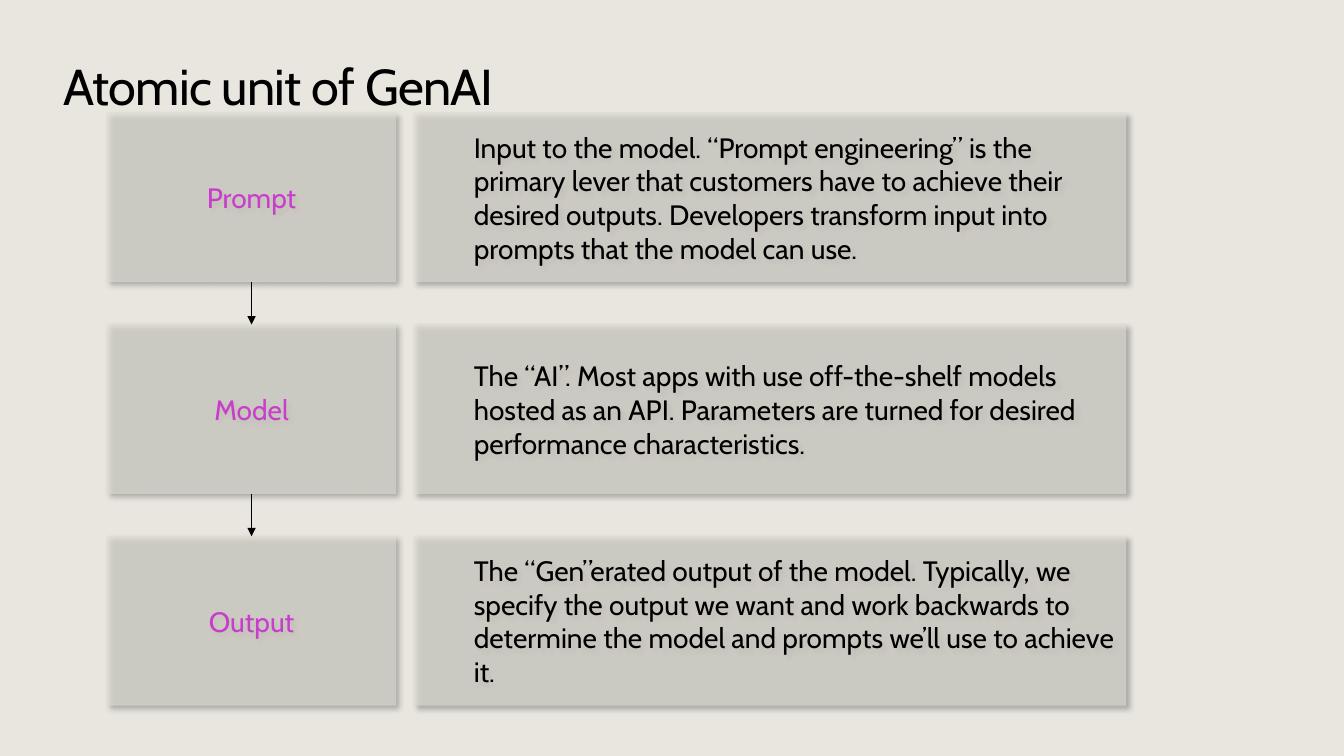
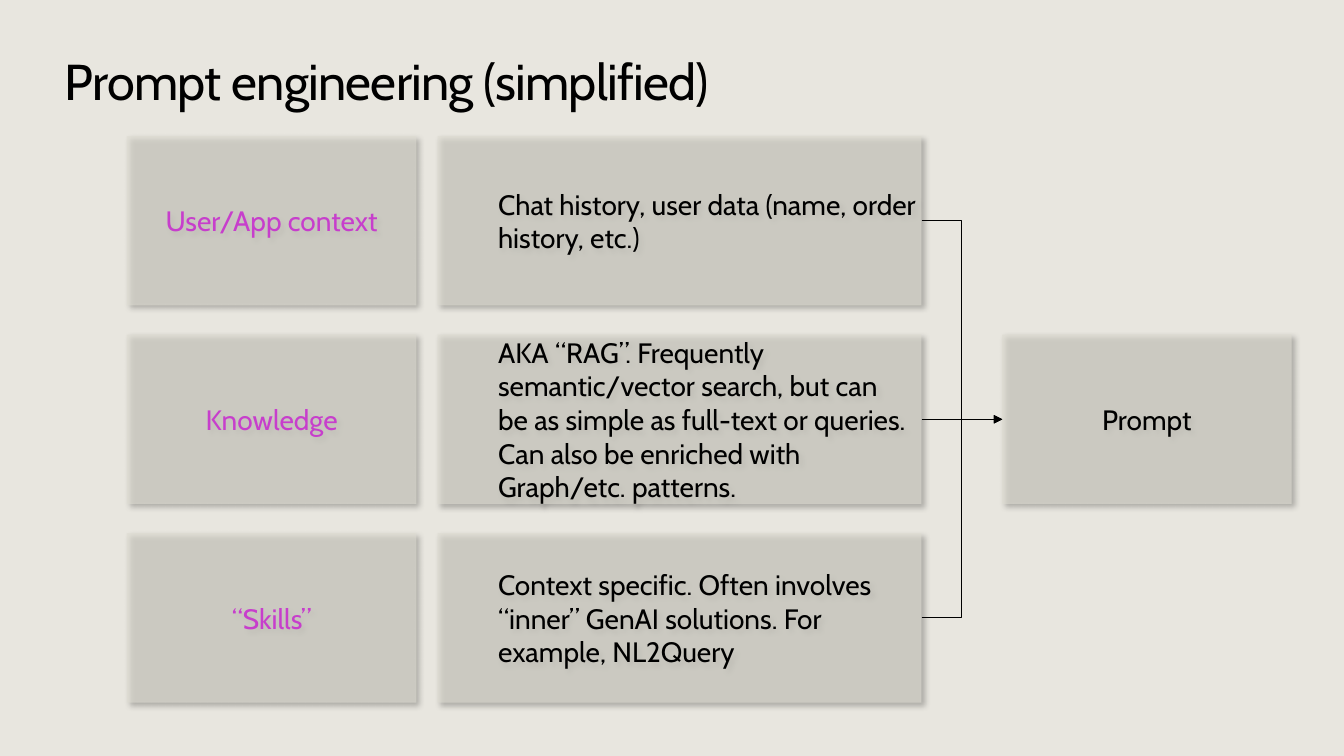
"""Builds two slides on generative AI: its atomic unit and simplified prompt engineering."""
from dataclasses import dataclass

from lxml import etree
from pptx import Presentation
from pptx.dml.color import RGBColor
from pptx.enum.shapes import MSO_CONNECTOR, MSO_SHAPE
from pptx.enum.text import MSO_ANCHOR, PP_ALIGN
from pptx.oxml.ns import qn
from pptx.util import Inches, Pt

RECT = MSO_SHAPE.RECTANGLE
STRAIGHT, ELBOW = MSO_CONNECTOR.STRAIGHT, MSO_CONNECTOR.ELBOW
MIDDLE = MSO_ANCHOR.MIDDLE
LEFT, CENTER = PP_ALIGN.LEFT, PP_ALIGN.CENTER
TOP_SITE, LEFT_SITE, BOTTOM_SITE, RIGHT_SITE = range(4)


@dataclass(frozen=True)
class Theme:
    font: str = "Cabin"
    background: str = "E8E6DF"
    box: str = "DEDCD2"
    ink: str = "000000"
    accent: str = "C73ECC"
    title_size: int = 36
    body_size: int = 20
    title_spacing: float = -0.5
    line_width: float = 0.75


THEME = Theme()
LABEL_W, BOX_H = 2.87, 1.68
LABEL_INSETS = (0.2, 0.16, 0.2, 0.16)

UNIT = {
    "title": "Atomic unit of GenAI", "title_at": (0.63, 0.55, 11.84, 0.61),
    "label_x": 1.06, "text_x": 4.1, "text_w": 7.07, "top": 1.12, "pitch": 2.1, "opacity": 63,
    "rows": [
        ("Prompt", "Input to the model. “Prompt engineering” is the primary lever that customers have "
                   "to achieve their desired outputs. Developers transform input into prompts that "
                   "the model can use.", 0),
        ("Model", "The “AI”. Most apps with use off-the-shelf models hosted as an API. Parameters are "
                  "turned for desired performance characteristics.", 0),
        ("Output", "The “Gen”erated output of the model. Typically, we specify the output we want and "
                   "work backwards to determine the model and prompts we’ll use to achieve it.", 0),
    ],
}
ENGINEERING = {
    "title": "Prompt engineering (simplified)", "title_at": (0.64, 0.5, 12.05, 0.61),
    "label_x": 1.26, "text_x": 4.34, "text_w": 4.8, "top": 1.35, "pitch": 1.97, "opacity": 60,
    "rows": [
        ("User/App context", "Chat history, user data (name, order history, etc.)", 0),
        ("Knowledge", "AKA “RAG”. Frequently semantic/vector search, but can be as simple as "
                      "full-text or queries. Can also be enriched with Graph/etc. patterns.", 0.08),
        ("“Skills”", "Context specific. Often involves “inner” GenAI solutions. For example, "
                     "NL2Query", 0),
    ],
}
RESULT, RESULT_X = "Prompt", 9.94


def rgb(color):
    return RGBColor.from_string(color)


def sub(parent, tag, **attrs):
    return etree.SubElement(parent, qn(tag), {k: str(v) for k, v in attrs.items()})


def write(shape, text, size, color, insets, align=LEFT):
    tf = shape.text_frame
    tf.word_wrap = True
    tf.margin_left, tf.margin_top, tf.margin_right, tf.margin_bottom = map(Inches, insets)
    p = tf.paragraphs[0]
    p.alignment = align
    p.font.name, p.font.size = THEME.font, Pt(size)
    p.font.color.rgb = rgb(color)
    r = p.add_run()
    r.text = text
    return r


def add_box(s, x, y, w, text, opacity, insets, color=THEME.ink, align=LEFT):
    sp = s.shapes.add_shape(RECT, Inches(x), Inches(y), Inches(w), Inches(BOX_H))
    sp.fill.solid()
    sp.fill.fore_color.rgb = rgb(THEME.box)
    sub(sp._element.spPr.find(f"{qn('a:solidFill')}/{qn('a:srgbClr')}"), "a:alpha", val=opacity * 1000)
    sp.line.fill.background()
    sp.shadow.inherit = False
    shadow = sub(sp._element.spPr.find(qn("a:effectLst")), "a:outerShdw", blurRad=Pt(4), dist=Pt(3),
                 dir=45 * 60000, algn="tl", rotWithShape=0)
    sub(sub(shadow, "a:srgbClr", val=THEME.ink), "a:alpha", val=40000)
    sp.text_frame.vertical_anchor = MIDDLE
    write(sp, text, THEME.body_size, color, insets, align)
    return sp


def add_arrow(s, kind, start, start_site, end, end_site):
    line = s.shapes.add_connector(kind, 0, 0, 0, 0)
    line.begin_connect(start, start_site)
    line.end_connect(end, end_site)
    line.line.color.rgb = rgb(THEME.ink)
    line.line.width = Pt(THEME.line_width)
    sub(line.line._get_or_add_ln(), "a:tailEnd", type="triangle")
    sub(line._element.spPr, "a:effectLst")


def add_slide(prs, content):
    s = prs.slides.add_slide(prs.slide_layouts[6])
    s.background.fill.solid()
    s.background.fill.fore_color.rgb = rgb(THEME.background)
    title = s.shapes.add_textbox(*map(Inches, content["title_at"]))
    r = write(title, content["title"], THEME.title_size, THEME.ink, (0, 0, 0, 0))
    r._r.get_or_add_rPr().set("spc", str(int(THEME.title_spacing * 100)))
    labels, texts = [], []
    for i, (label, text, right_inset) in enumerate(content["rows"]):
        y = content["top"] + i * content["pitch"]
        labels.append(add_box(s, content["label_x"], y, LABEL_W, label, content["opacity"],
                              LABEL_INSETS, THEME.accent, CENTER))
        texts.append(add_box(s, content["text_x"], y, content["text_w"], text, content["opacity"],
                             (0.6, 0, right_inset, 0)))
    return s, labels, texts


def main():
    prs = Presentation()
    prs.slide_width, prs.slide_height = Inches(13.33), Inches(7.5)

    s, labels, _ = add_slide(prs, UNIT)
    for upper, lower in zip(labels, labels[1:]):
        add_arrow(s, STRAIGHT, upper, BOTTOM_SITE, lower, TOP_SITE)

    s, _, texts = add_slide(prs, ENGINEERING)
    result = add_box(s, RESULT_X, ENGINEERING["top"] + ENGINEERING["pitch"], LABEL_W, RESULT,
                     ENGINEERING["opacity"], LABEL_INSETS, align=CENTER)
    for text, kind in zip(texts, (ELBOW, STRAIGHT, ELBOW)):
        add_arrow(s, kind, text, RIGHT_SITE, result, LEFT_SITE)

    prs.save("out.pptx")


if __name__ == "__main__":
    main()
